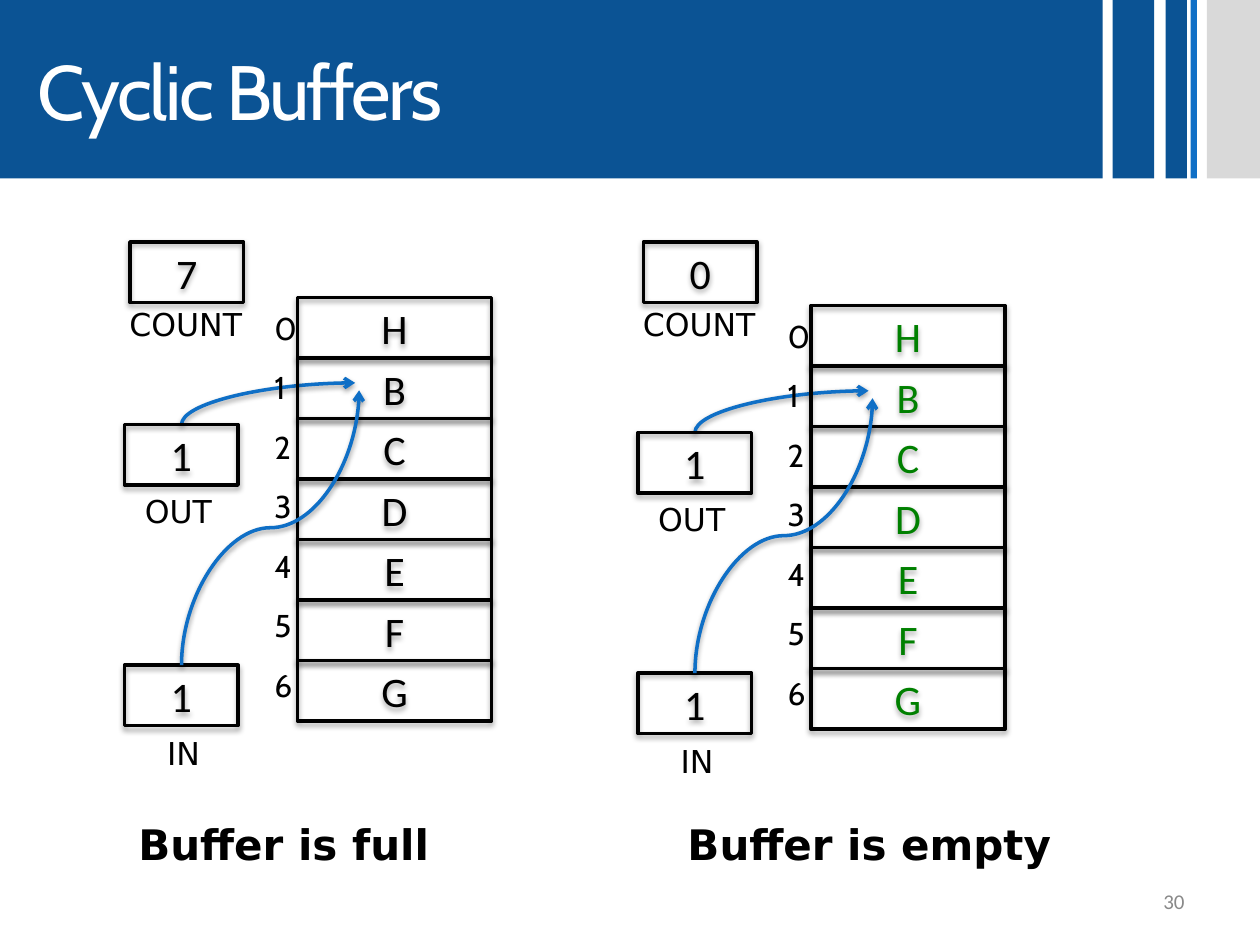
from typing import NamedTuple

from lxml import etree
from pptx import Presentation
from pptx import util as u
from pptx.dml.color import RGBColor
from pptx.enum import shapes, text
from pptx.oxml.ns import qn

Cm, Pt = u.Cm, u.Pt
HUES = {"band": "0B5394", "blue": "0F6FC6", "pale": "D9D9D9", "white": "FFFFFF",
        "ink": "000000", "green": "008000", "grey": "898989"}
LEFT, MID, RIGHT = text.PP_ALIGN.LEFT, text.PP_ALIGN.CENTER, text.PP_ALIGN.RIGHT


class Area(NamedTuple):
    x: float
    y: float
    w: float
    h: float

    def shift(self, dx: float, dy: float) -> "Area":
        return Area(self.x + dx, self.y + dy, self.w, self.h)

    def cm(self) -> list:
        return [Cm(v) for v in self]


class Font(NamedTuple):
    face: str
    size: int
    hue: str = "ink"
    bold: bool = False


class Panel(NamedTuple):
    dx: float
    dy: float
    count: str
    hue: str
    note: str
    note_x: float


class Curve(NamedTuple):
    kind: str
    x1: float
    y1: float
    x2: float
    y2: float


CELL, BOX = Area(6, 6, 3.91, 1.22), Area(2.51, 8.56, 2.29, 1.22)
DIGIT, DIGIT_STEP = Area(5.28, 6.1, 0.84, 1.02), 1.2
OUT_TAG, IN_TAG = Area(2.67, 9.8, 1.9, 1.02), Area(3.12, 14.68, 1.27, 1.02)
IN_DROP = 4.85
COUNT, COUNT_TAG = Area(2.62, 4.88, 2.29, 1.22), Area(2.36, 6.02, 2.82, 1.02)
OUT_CURVE = Curve("curvedConnector2", 3.66, 8.56, 7.16, 7.72)
IN_CURVE = Curve("curvedConnector3", 3.66, 13.41, 7.24, 7.87)
TAG, INDEX = Font("DejaVu Sans", 18), Font("Cabin", 18)
PANELS = [Panel(0, 0, "7", "ink", "Buffer is full", 2.54),
          Panel(10.35, 0.16, "0", "green", "Buffer is empty", 13.61)]
BARS = [(22.43, 0.84, "band"), (23.5, 0.43, "band"),
        (24, 0.13, "blue"), (24.33, 1.07, "pale")]


def rgb(name: str) -> RGBColor:
    return RGBColor.from_string(HUES[name])


def write(shape, words: str, font: Font, align=LEFT) -> None:
    frame = shape.text_frame
    frame.text = words
    para = frame.paragraphs[0]
    para.alignment = align
    face = para.runs[0].font
    face.name, face.size, face.bold = font.face, Pt(font.size), font.bold
    face.color.rgb = rgb(font.hue)


def shade(shape, alpha: int, dist: int) -> None:
    """Give the shape a soft shadow that falls straight down."""
    props = shape._element.spPr
    fx = props.find(qn("a:effectLst"))
    if fx is None:
        fx = etree.SubElement(props, qn("a:effectLst"))
    drop = etree.SubElement(fx, qn("a:outerShdw"), blurRad="40000",
                            dist=str(dist), dir="5400000", rotWithShape="0")
    tint = etree.SubElement(drop, qn("a:srgbClr"), val=HUES["ink"])
    etree.SubElement(tint, qn("a:alpha"), val=str(alpha * 1000))


def add_bar(tree, area: Area, hue: str):
    bar = tree.add_shape(shapes.MSO_SHAPE.RECTANGLE, *area.cm())
    bar.shadow.inherit = False
    bar.fill.solid()
    bar.fill.fore_color.rgb = rgb(hue)
    bar.line.fill.background()
    return bar


def add_box(tree, area: Area, words: str, hue: str = "ink") -> None:
    box = tree.add_shape(shapes.MSO_SHAPE.RECTANGLE, *area.cm())
    box.shadow.inherit = False
    box.fill.background()
    box.line.color.rgb = rgb("ink")
    box.line.width = Pt(2)
    shade(box, 35, 23000)
    box.text_frame.vertical_anchor = text.MSO_ANCHOR.MIDDLE
    write(box, words, Font("Calibri", 24, hue), MID)


def add_text(tree, area: Area, words: str, font: Font, wrap: bool = False):
    label = tree.add_textbox(*area.cm())
    label.text_frame.word_wrap = wrap
    label.text_frame.auto_size = text.MSO_AUTO_SIZE.SHAPE_TO_FIT_TEXT
    write(label, words, font)
    return label


def add_curve(tree, curve: Curve, dx: float, dy: float) -> None:
    """Draw a curve that leaves upwards: a sideways one turned a quarter."""
    mid_x, mid_y = (curve.x1 + curve.x2) / 2 + dx, (curve.y1 + curve.y2) / 2 + dy
    half_w, half_h = (curve.y1 - curve.y2) / 2, (curve.x2 - curve.x1) / 2
    link = tree.add_connector(
        shapes.MSO_CONNECTOR.CURVE, Cm(mid_x + half_w), Cm(mid_y + half_h),
        Cm(mid_x - half_w), Cm(mid_y - half_h))
    link.line.color.rgb = rgb("blue")
    link.line.width = Pt(2)
    props = link._element.spPr
    props.find(qn("a:xfrm")).set("rot", "5400000")
    props.find(qn("a:prstGeom")).set("prst", curve.kind)
    etree.SubElement(props.find(qn("a:ln")), qn("a:tailEnd"), type="arrow")
    shade(link, 38, 20000)


def add_panel(tree, panel: Panel) -> None:
    move = panel.dx, panel.dy
    group = tree.add_group_shape().shapes
    add_curve(group, OUT_CURVE, *move)
    box = BOX.shift(*move)
    add_box(group, box, "1")
    add_box(group, box.shift(0, IN_DROP), "1")
    add_text(group, OUT_TAG.shift(*move), "OUT", TAG)
    add_text(group, IN_TAG.shift(*move), "IN", TAG)
    for i, name in enumerate("HBCDEFG"):
        add_box(group, CELL.shift(*move).shift(0, i * CELL.h), name, panel.hue)
    for i in range(7):
        add_text(group, DIGIT.shift(*move).shift(0, i * DIGIT_STEP), str(i), INDEX)
    add_curve(group, IN_CURVE, *move)
    add_text(tree, Area(panel.note_x, 16.38, 8.71, 1.27), panel.note,
             Font("DejaVu Sans", 24, bold=True), True)
    add_box(tree, COUNT.shift(panel.dx, 0), panel.count)
    add_text(tree, COUNT_TAG.shift(panel.dx, 0), "COUNT", TAG)


def add_head(tree) -> None:
    high = 3.6
    for x, wide, hue in BARS:
        add_bar(tree, Area(x, 0, wide, high), hue)
    title = add_bar(tree, Area(0, 0, 22.23, high), "band")
    title.text_frame.margin_left = Cm(0.76)
    title.text_frame.vertical_anchor = text.MSO_ANCHOR.MIDDLE
    write(title, "Cyclic Buffers", Font("Cabin", 44, "white"))
    run = title.text_frame.paragraphs[0].runs[0]
    run._r.get_or_add_rPr().set("spc", "-150")


def main() -> None:
    deck = Presentation()
    deck.slide_width, deck.slide_height = Cm(25.4), Cm(19.05)
    tree = deck.slides.add_slide(deck.slide_layouts[6]).shapes
    add_head(tree)
    page = add_text(tree, Area(18.2, 17.65, 5.93, 1.02), "30",
                    Font("Calibri", 12, "grey"), True)
    page.text_frame.auto_size = text.MSO_AUTO_SIZE.NONE
    page.text_frame.vertical_anchor = text.MSO_ANCHOR.MIDDLE
    page.text_frame.paragraphs[0].alignment = RIGHT
    for panel in PANELS:
        add_panel(tree, panel)
    deck.save("out.pptx")


if __name__ == "__main__":
    main()
